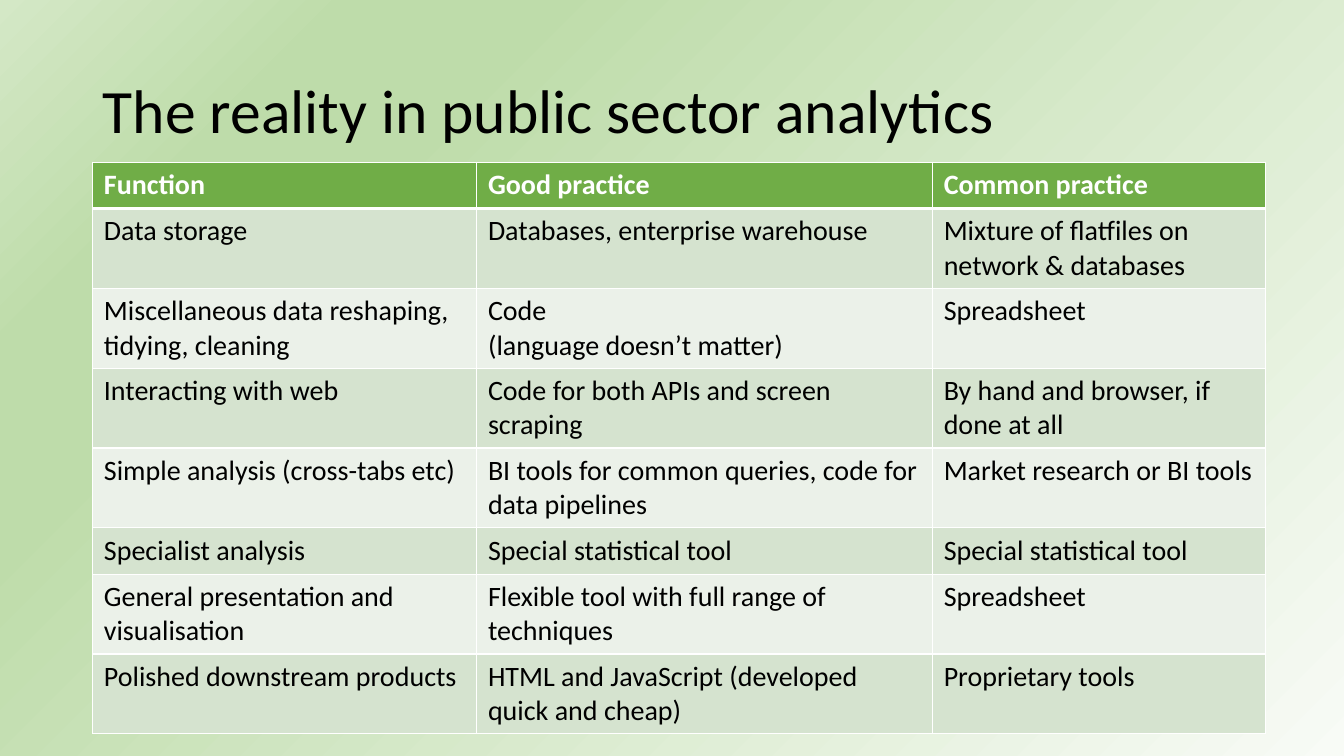
from dataclasses import dataclass

from lxml import etree
from pptx import Presentation
from pptx.dml.color import RGBColor
from pptx.enum.text import MSO_ANCHOR, MSO_AUTO_SIZE, PP_ALIGN
from pptx.oxml.ns import qn
from pptx.util import Inches, Pt

MIDDLE, LEFT, NO_FIT = MSO_ANCHOR.MIDDLE, PP_ALIGN.LEFT, MSO_AUTO_SIZE.NONE
TITLE_ONLY = 5
SLIDE_W, SLIDE_H = Inches(13.33), Inches(7.5)


@dataclass(frozen=True)
class Theme:
    font: str = "Calibri"
    title_size: int = 44
    cell_size: int = 20
    ink: str = "000000"
    white: str = "FFFFFF"
    header: str = "70AD47"
    bands: tuple = ("D5E3CF", "EBF1E9")
    # Background stops: percent along the gradient, colour
    backdrop: tuple = ((0, "F8FBF6"), (74, "BEDCAA"), (83, "BEDCAA"), (100, "D4E8C6"))
    thin: int = 1
    thick: int = 3


@dataclass(frozen=True)
class Practice:
    function: str
    good: str
    common: str
    lines: int = 2


THEME = Theme()
HEADING = Practice("Function", "Good practice", "Common practice", 1)
PRACTICES = [
    Practice("Data storage", "Databases, enterprise warehouse",
             "Mixture of flatfiles on network & databases"),
    Practice("Miscellaneous data reshaping, tidying, cleaning",
             "Code\v(language doesn’t matter)", "Spreadsheet"),
    Practice("Interacting with web", "Code for both APIs and screen scraping",
             "By hand and browser, if done at all"),
    Practice("Simple analysis (cross-tabs etc)",
             "BI tools for common queries, code for data pipelines",
             "Market research or BI tools"),
    Practice("Specialist analysis", "Special statistical tool",
             "Special statistical tool", 1),
    Practice("General presentation and visualisation",
             "Flexible tool with full range of techniques", "Spreadsheet"),
    Practice("Polished downstream products",
             "HTML and JavaScript (developed quick and cheap)", "Proprietary tools"),
]

# Layout in percent of the slide's width or height
MARGIN = 6.9
TITLE_TOP, TITLE_WIDTH, TITLE_HEIGHT = 5.33, 86.27, 19.33
TABLE_TOP = 21.47
COLUMN_WIDTHS = (28.58, 33.91, 24.76)
ROW_HEIGHTS = {1: 6.13, 2: 10.53}


def across(percent: float) -> int:
    return round(SLIDE_W * percent / 100)


def down(percent: float) -> int:
    return round(SLIDE_H * percent / 100)


def style_text(frame, size: int, color: str, bold: bool = False) -> None:
    for paragraph in frame.paragraphs:
        paragraph.alignment = LEFT
        for run in paragraph.runs:
            run.font.name = THEME.font
            run.font.size = Pt(size)
            run.font.bold = bold
            run.font.color.rgb = RGBColor.from_string(color)


def paint_background(slide) -> None:
    fill = slide.background.fill
    fill.gradient()
    fill.gradient_angle = 135
    stops = slide.element.find(".//" + qn("a:gsLst"))
    for stop in list(stops):
        stops.remove(stop)
    for percent, color in THEME.backdrop:
        stop = etree.SubElement(stops, qn("a:gs"), pos=str(percent * 1000))
        etree.SubElement(stop, qn("a:srgbClr"), val=color)


def add_title(slide, wording: str) -> None:
    title = slide.shapes.title
    title.left, title.top = across(MARGIN), down(TITLE_TOP)
    title.width, title.height = across(TITLE_WIDTH), down(TITLE_HEIGHT)
    frame = title.text_frame
    frame.text = wording
    frame.auto_size = NO_FIT
    frame.vertical_anchor = MIDDLE
    frame.paragraphs[0].line_spacing = 0.9
    style_text(frame, THEME.title_size, THEME.ink)


def add_borders(cell, top: int, bottom: int) -> None:
    properties = cell._tc.get_or_add_tcPr()
    widths = {"L": THEME.thin, "R": THEME.thin, "T": top, "B": bottom}
    for side, width in widths.items():
        line = etree.SubElement(properties, qn(f"a:ln{side}"), w=str(Pt(width)))
        solid = etree.SubElement(line, qn("a:solidFill"))
        etree.SubElement(solid, qn("a:srgbClr"), val=THEME.white)


def fill_row(cells, practice: Practice, index: int) -> None:
    is_header = index == 0
    fill = THEME.header if is_header else THEME.bands[(index - 1) % 2]
    top = THEME.thick if index == 1 else THEME.thin
    bottom = THEME.thick if is_header else THEME.thin
    for cell, wording in zip(cells, (practice.function, practice.good, practice.common)):
        cell.text_frame.text = wording
        cell.margin_left = cell.margin_right = Pt(8)
        cell.margin_top = cell.margin_bottom = Pt(4)
        add_borders(cell, top, bottom)
        cell.fill.solid()
        cell.fill.fore_color.rgb = RGBColor.from_string(fill)
        style_text(cell.text_frame, THEME.cell_size,
                   THEME.white if is_header else THEME.ink, is_header)


def add_practice_table(slide, practices: list[Practice]) -> None:
    heights = [ROW_HEIGHTS[practice.lines] for practice in practices]
    table = slide.shapes.add_table(
        len(practices), len(COLUMN_WIDTHS), across(MARGIN), down(TABLE_TOP),
        across(sum(COLUMN_WIDTHS)), down(sum(heights))).table
    table.horz_banding = False
    for column, width in zip(table.columns, COLUMN_WIDTHS):
        column.width = across(width)
    for index, (row, practice) in enumerate(zip(table.rows, practices)):
        row.height = down(heights[index])
        fill_row(row.cells, practice, index)


def main() -> None:
    deck = Presentation()
    deck.slide_width, deck.slide_height = SLIDE_W, SLIDE_H
    slide = deck.slides.add_slide(deck.slide_layouts[TITLE_ONLY])
    paint_background(slide)
    add_title(slide, "The reality in public sector analytics")
    add_practice_table(slide, [HEADING, *PRACTICES])
    deck.save("out.pptx")


if __name__ == "__main__":
    main()
